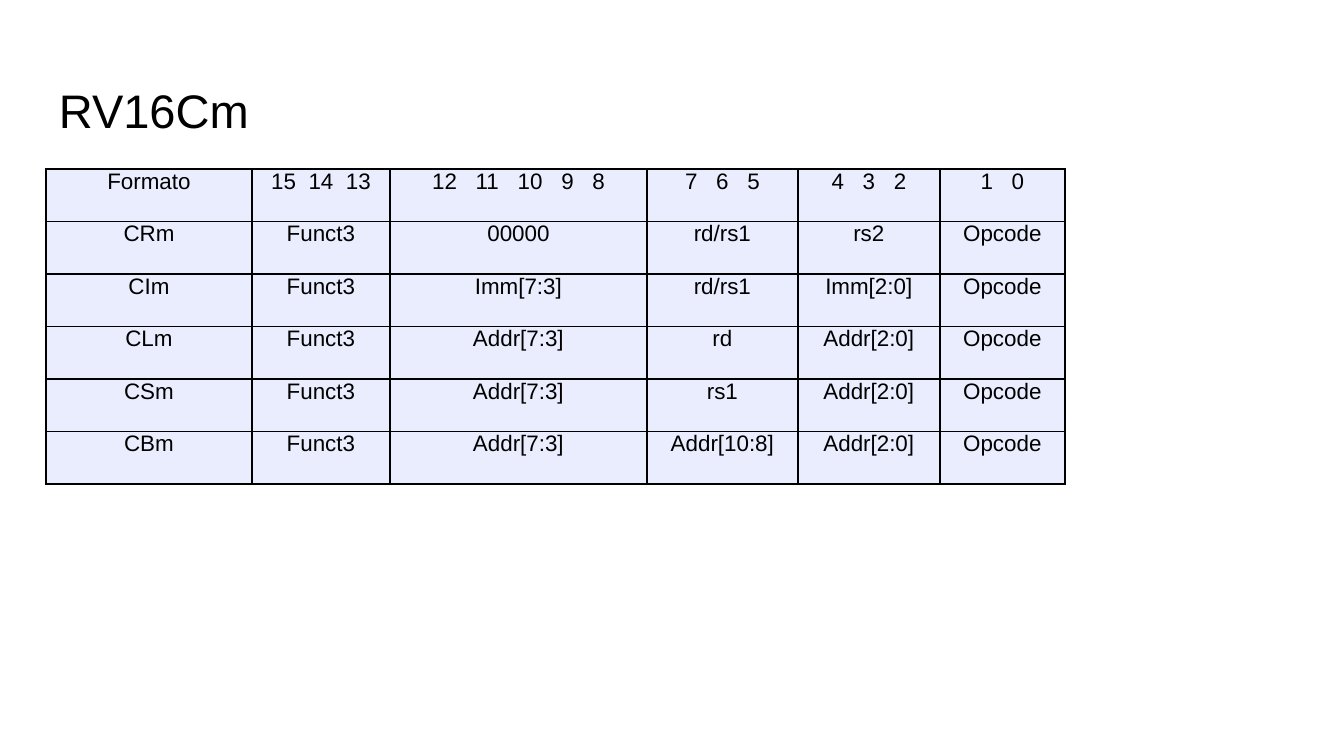
from lxml.etree import SubElement
from pptx import Presentation
from pptx.dml.color import RGBColor
from pptx.enum.text import MSO_ANCHOR as Anchor, PP_ALIGN as Align
from pptx.oxml.ns import qn
from pptx.util import Emu, Pt

SLIDE_W, SLIDE_H = 1344, 756
SCALE = 9144000 / SLIDE_W
COLORS = {"text": "000000", "border": "000000", "cell": "E9EDFD"}
FONT = "Arial"
CELL_SIZE = 12
COLUMN_WIDTHS = [206, 138, 257, 151, 142, 125]

# Bit positions of each field, with the extra gap between them in points
BIT_FIELDS = [
    ("15 14 13", 3.33),
    ("12 11 10 9 8", 6.67),
    ("7 6 5", 6.67),
    ("4 3 2", 6.67),
    ("1 0", 6.67),
]
# Format name and its three middle fields
FORMATS = [
    ("CRm", "00000", "rd/rs1", "rs2"),
    ("CIm", "Imm[7:3]", "rd/rs1", "Imm[2:0]"),
    ("CLm", "Addr[7:3]", "rd", "Addr[2:0]"),
    ("CSm", "Addr[7:3]", "rs1", "Addr[2:0]"),
    ("CBm", "Addr[7:3]", "Addr[10:8]", "Addr[2:0]"),
]


def px(length):
    return Emu(round(length * SCALE))


def color(name):
    return RGBColor.from_string(COLORS[name])


def add_run(paragraph, text, size):
    run = paragraph.add_run()
    run.text = text
    run.font.name = FONT
    run.font.size = Pt(size)
    run.font.color.rgb = color("text")
    return run


def add_bits(paragraph, bits, gap):
    """Write bit numbers set apart by widened single spaces."""
    for index, bit in enumerate(bits.split()):
        if index:
            space = add_run(paragraph, " ", CELL_SIZE)
            space.font._element.set("spc", str(round(gap * 100)))
        add_run(paragraph, bit, CELL_SIZE)


def add_borders(cell):
    properties = cell._tc.get_or_add_tcPr()
    for position, side in enumerate(("a:lnL", "a:lnR", "a:lnT", "a:lnB")):
        line = SubElement(properties, qn(side), w=str(Pt(1)))
        fill = SubElement(line, qn("a:solidFill"))
        SubElement(fill, qn("a:srgbClr"), val=COLORS["border"])
        properties.remove(line)
        properties.insert(position, line)  # borders come before the fill


def style_cell(cell):
    cell.margin_left = cell.margin_right = px(9)
    cell.margin_top = cell.margin_bottom = 0
    cell.vertical_anchor = Anchor.TOP
    cell.fill.solid()
    cell.fill.fore_color.rgb = color("cell")
    add_borders(cell)
    paragraph = cell.text_frame.paragraphs[0]
    paragraph.alignment = Align.CENTER
    return paragraph


def add_title(slide, left, top, width, height):
    frame = slide.shapes.add_textbox(px(left), px(top), px(width), px(height)).text_frame
    frame.word_wrap = True
    frame.vertical_anchor = Anchor.BOTTOM
    frame.margin_left = frame.margin_right = px(13)
    frame.margin_top = frame.margin_bottom = px(13)
    add_run(frame.paragraphs[0], "RV16Cm", 25.2)


def add_format_table(slide, left, top, width, height):
    row_count = len(FORMATS) + 1
    table = slide.shapes.add_table(
        row_count, len(COLUMN_WIDTHS), px(left), px(top), px(width), px(height)
    ).table
    table.first_row = table.horz_banding = False
    for column, share in zip(table.columns, COLUMN_WIDTHS):
        column.width = px(width * share / sum(COLUMN_WIDTHS))
    for row in table.rows:
        row.height = px(height / row_count)

    # Header row
    add_run(style_cell(table.cell(0, 0)), "Formato", CELL_SIZE)
    for column, (bits, gap) in enumerate(BIT_FIELDS, start=1):
        add_bits(style_cell(table.cell(0, column)), bits, gap)

    # One row per instruction format
    for row, (name, *fields) in enumerate(FORMATS, start=1):
        for column, text in enumerate([name, "Funct3", *fields, "Opcode"]):
            add_run(style_cell(table.cell(row, column)), text, CELL_SIZE)


def main():
    deck = Presentation()
    deck.slide_width, deck.slide_height = px(SLIDE_W), px(SLIDE_H)
    slide = deck.slides.add_slide(deck.slide_layouts[6])
    add_title(slide, 46, 66, 1253, 85)
    add_format_table(slide, 46, 169, 1019, 315)
    deck.save("out.pptx")


if __name__ == "__main__":
    main()
